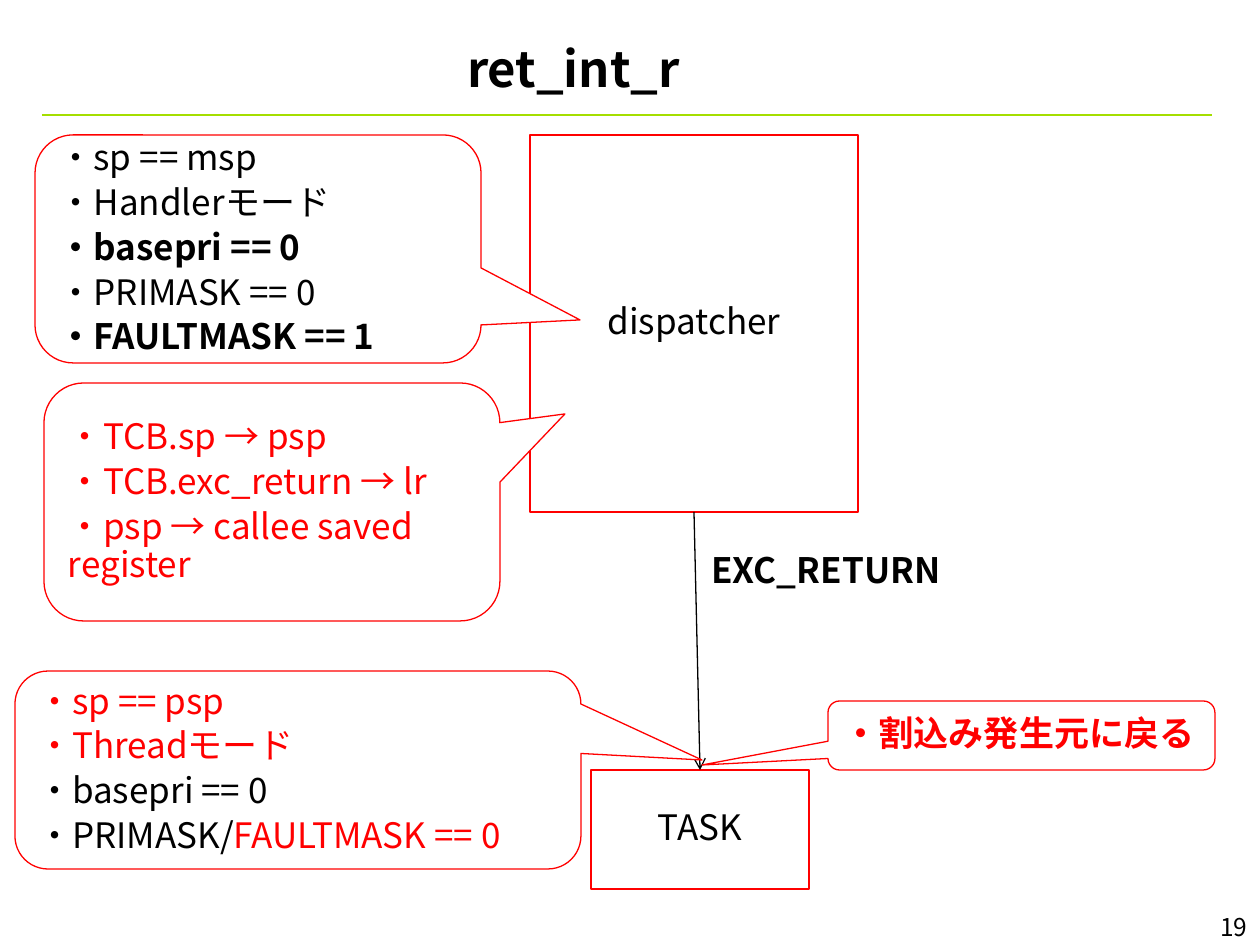
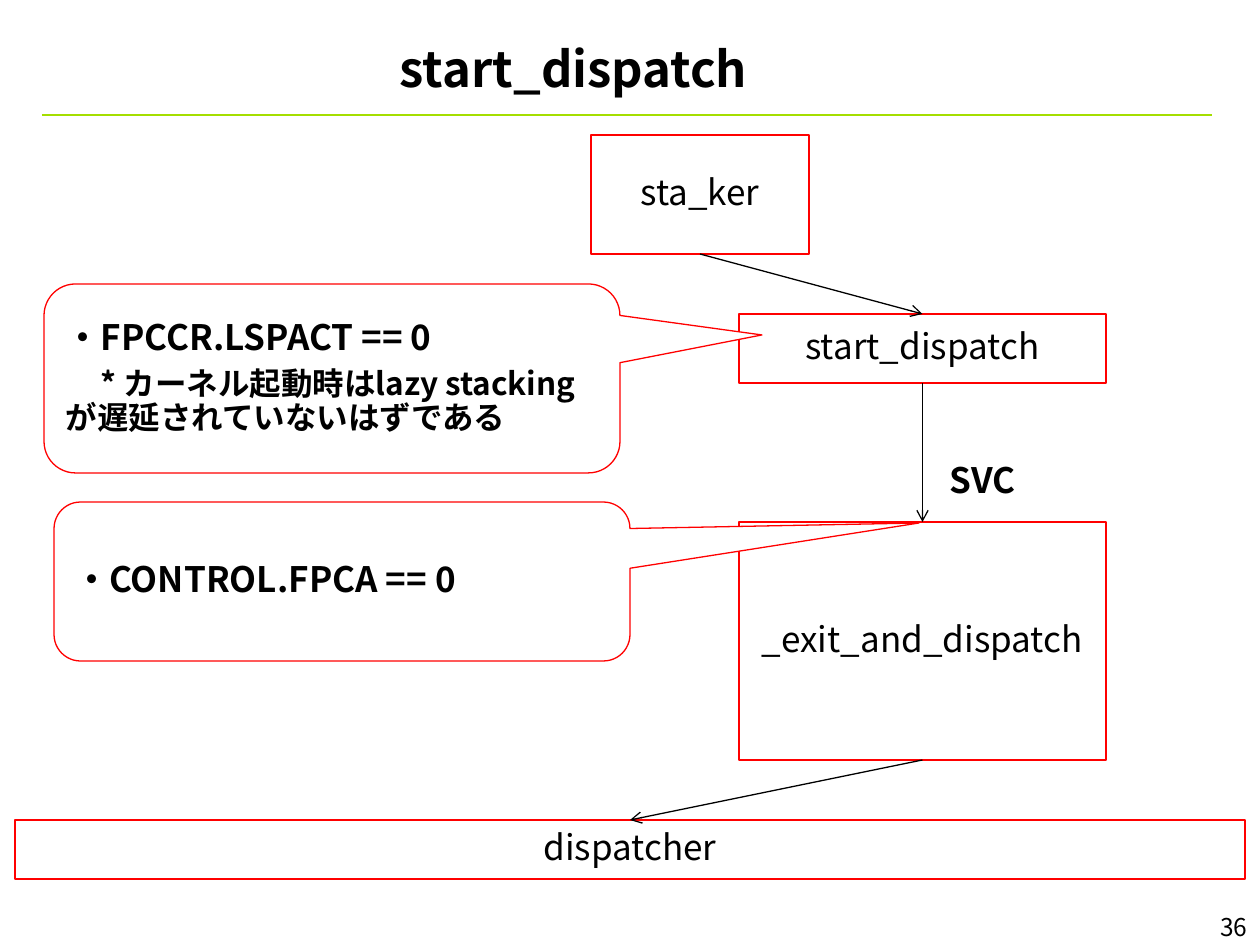
from dataclasses import dataclass

from lxml import etree
from pptx import Presentation
from pptx.dml.color import RGBColor
from pptx.enum.shapes import MSO_CONNECTOR, MSO_SHAPE
from pptx.enum.text import MSO_ANCHOR, PP_ALIGN
from pptx.oxml.ns import qn
from pptx.util import Pt

RECTANGLE = MSO_SHAPE.RECTANGLE
CALLOUT = MSO_SHAPE.ROUNDED_RECTANGULAR_CALLOUT
STRAIGHT = MSO_CONNECTOR.STRAIGHT
TOP, MIDDLE = MSO_ANCHOR.TOP, MSO_ANCHOR.MIDDLE
LEFT, CENTER, RIGHT = PP_ALIGN.LEFT, PP_ALIGN.CENTER, PP_ALIGN.RIGHT
SCALE = 914400 / 126


@dataclass(frozen=True)
class Theme:
    font: str = "Noto Sans CJK JP"
    ink: RGBColor = RGBColor(0, 0, 0)
    red: RGBColor = RGBColor(255, 0, 0)
    paper: RGBColor = RGBColor(255, 255, 255)
    green: RGBColor = RGBColor(0xA4, 0xDE, 0)
    title: int = 28
    body: int = 20
    note: int = 18
    number: int = 14
    thin: float = 0.75
    rule: float = 1.5


THEME = Theme()
PLAIN = {}
BOLD = {"bold": True}
RED = {"color": THEME.red}
RED_BOLD = {**RED, **BOLD}
TITLE = {**BOLD, "size": THEME.title}
NOTE = {**BOLD, "size": THEME.note}
NUMBER = {"size": THEME.number}
LIST_FORMAT = {"line_spacing": 0.9, "space_before": Pt(4)}

TITLE_AREA = (29, 26, 1089, 69)
NUMBER_AREA = (1155, 906, 105, 42)
RULE_ENDS = ((42, 115), (1212, 115))

PAGES = [
    {
        "title": "ret_int_r",
        "number": "19",
        "boxes": {
            "dispatcher": (530, 135, 328, 377),
            "TASK": (591, 770, 218, 119),
        },
        "arrows": [("dispatcher", "TASK")],
        "labels": [("EXC_RETURN", (699, 542, 287, 55))],
        "callouts": [
            ((35, 135, 446, 228), (580, 320), [
                [("・sp == msp", PLAIN)],
                [("・Handlerモード", PLAIN)],
                [("・basepri == 0", BOLD)],
                [("・PRIMASK == 0", PLAIN)],
                [("・FAULTMASK == 1", BOLD)],
            ]),
            ((44, 383, 456, 238), (565, 414), [
                [("・TCB.sp → psp", RED)],
                [("・TCB.exc_return → lr", RED)],
                [("・psp → callee saved register", RED)],
            ]),
            ((15, 671, 566, 198), (702, 760), [
                [("・sp == psp", RED)],
                [("・Threadモード", RED)],
                [("・basepri == 0", PLAIN)],
                [("・PRIMASK/", PLAIN), ("FAULTMASK == 0", RED)],
            ]),
            ((828, 701, 387, 69), (702, 765), [
                [("・割込み発生元に戻る", RED_BOLD)],
            ]),
        ],
    },
    {
        "title": "start_dispatch",
        "number": "36",
        "boxes": {
            "dispatcher": (15, 820, 1230, 59),
            "sta_ker": (591, 135, 218, 119),
            "start_dispatch": (739, 314, 367, 69),
            "_exit_and_dispatch": (739, 522, 367, 238),
        },
        "arrows": [
            ("sta_ker", "start_dispatch"),
            ("start_dispatch", "_exit_and_dispatch"),
            ("_exit_and_dispatch", "dispatcher"),
        ],
        "labels": [("SVC", (937, 452, 110, 55))],
        "callouts": [
            ((44, 284, 576, 189), (762, 335), [
                [("・FPCCR.LSPACT == 0", BOLD)],
                [("\u3000", BOLD),
                 ("* カーネル起動時はlazy stackingが遅延されていないはずである", NOTE)],
            ]),
            ((54, 502, 576, 159), (919, 523), [
                [("・CONTROL.FPCA == 0", BOLD)],
            ]),
        ],
    },
]


def emu(*pixels):
    return [round(value * SCALE) for value in pixels]


def apply(target, values):
    for name, value in values.items():
        setattr(target, name, value)


def write(shape, paragraphs, align=LEFT, anchor=MIDDLE, spacing=LIST_FORMAT):
    frame = shape.text_frame
    apply(frame, {"word_wrap": True, "vertical_anchor": anchor})
    for index, spans in enumerate(paragraphs):
        para = frame.add_paragraph() if index else frame.paragraphs[0]
        apply(para, {"alignment": align, **spacing})
        for text, style in spans:
            span = para.add_run()
            span.text = text
            apply(span.font, {
                "name": THEME.font,
                "size": Pt(style.get("size", THEME.body)),
                "bold": style.get("bold", False),
            })
            span.font.color.rgb = style.get("color", THEME.ink)
            east_asian = etree.SubElement(span.font._element, qn("a:ea"))
            east_asian.set("typeface", THEME.font)


def add_text(page, area, text, style, align=LEFT, anchor=TOP):
    box = page.shapes.add_textbox(*emu(*area))
    write(box, [[(text, style)]], align, anchor, {})
    return box


def add_outlined(page, kind, area):
    shape = page.shapes.add_shape(kind, *emu(*area))
    shape.shadow.inherit = False
    shape.line.color.rgb = THEME.red
    shape.line.width = Pt(THEME.thin)
    return shape


def add_box(page, name, area):
    box = add_outlined(page, RECTANGLE, area)
    box.fill.background()
    write(box, [[(name, PLAIN)]], CENTER)


def add_callout(page, area, tip, paragraphs):
    left, top, width, height = area
    callout = add_outlined(page, CALLOUT, area)
    callout.fill.solid()
    callout.fill.fore_color.rgb = THEME.paper
    callout.adjustments[0] = (tip[0] - left) / width - 0.5
    callout.adjustments[1] = (tip[1] - top) / height - 0.5
    callout.adjustments[2] = 0.167
    write(callout, paragraphs)


def add_line(page, start, end, color, width, arrow=False):
    line = page.shapes.add_connector(STRAIGHT, *emu(*start, *end))
    line.line.color.rgb = color
    line.line.width = Pt(width)
    properties = line._element.spPr
    if arrow:
        outline = properties.find(qn("a:ln"))
        etree.SubElement(outline, qn("a:tailEnd")).set("type", "arrow")
    etree.SubElement(properties, qn("a:effectLst"))


def add_arrow(page, source, target):
    left, top, width, height = source
    start = (left + width / 2, top + height)
    end = (target[0] + target[2] / 2, target[1])
    add_line(page, start, end, THEME.ink, THEME.thin, arrow=True)


def add_page(deck, content):
    page = deck.slides.add_slide(deck.slide_layouts[6])
    add_line(page, *RULE_ENDS, THEME.green, THEME.rule)
    add_text(page, NUMBER_AREA, content["number"], NUMBER, RIGHT)
    title = add_text(page, TITLE_AREA, content["title"], TITLE, CENTER, MIDDLE)
    title.text_frame.margin_top = emu(20)[0]
    boxes = content["boxes"]
    for name, area in boxes.items():
        add_box(page, name, area)
    for source, target in content["arrows"]:
        add_arrow(page, boxes[source], boxes[target])
    for text, area in content["labels"]:
        add_text(page, area, text, BOLD)
    for callout in content["callouts"]:
        add_callout(page, *callout)


deck = Presentation()
deck.slide_width, deck.slide_height = emu(1260, 945)
for content in PAGES:
    add_page(deck, content)
deck.save("out.pptx")
